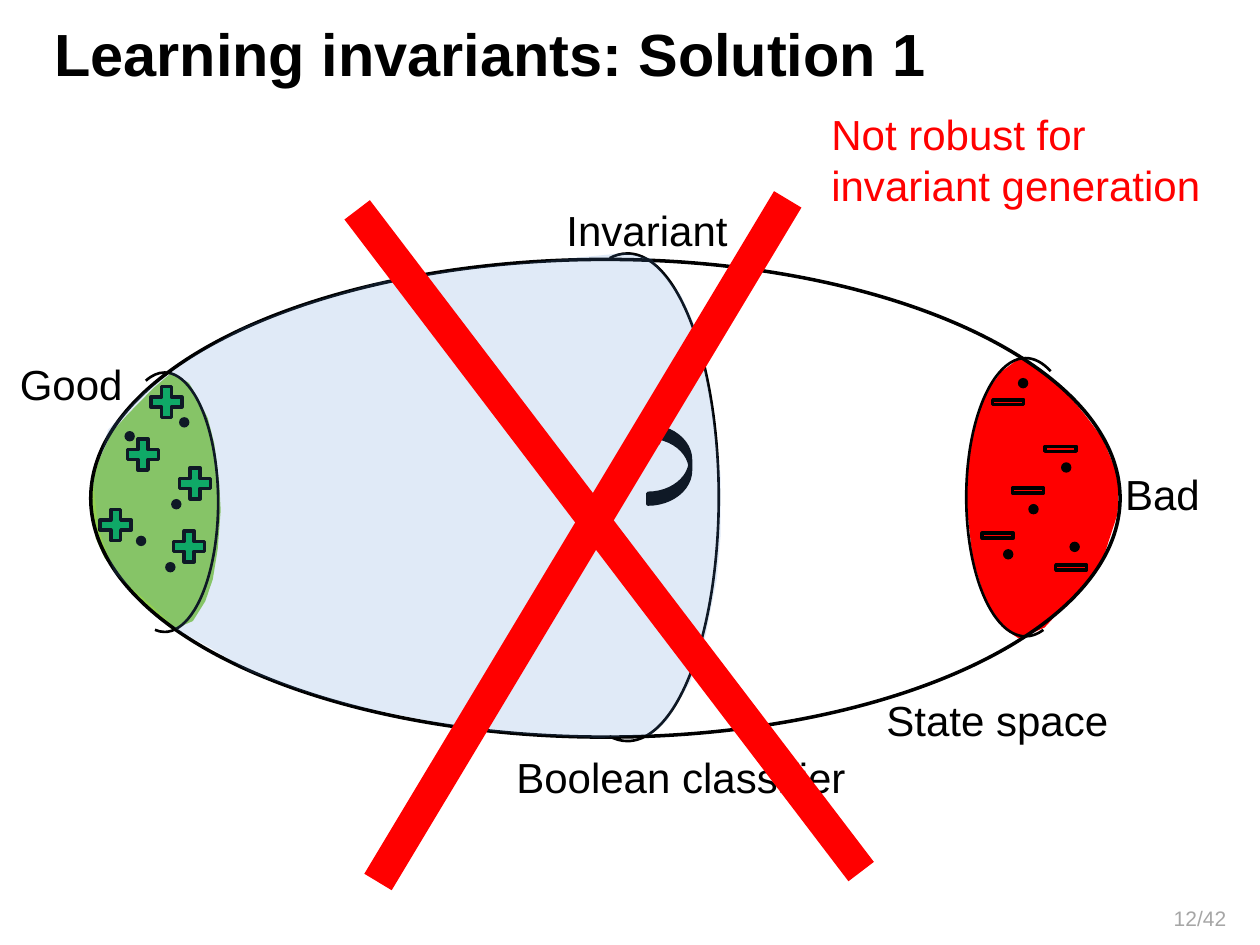
from dataclasses import dataclass

import pptx
import pptx.dml.color
import pptx.enum.shapes
import pptx.enum.text
import pptx.oxml
import pptx.oxml.ns
import pptx.util

Cm = pptx.util.Cm
SHAPE = pptx.enum.shapes.MSO_SHAPE
ALIGN = pptx.enum.text.PP_ALIGN
ANCHOR = pptx.enum.text.MSO_ANCHOR


@dataclass(frozen=True)
class Theme:
    font: str = "Arial"
    ink: str = "000000"
    alert: str = "FF0000"
    good: str = "92D050"
    plus: str = "00B050"
    invariant: str = "558ED5"
    muted: str = "A6A6A6"
    title_size: int = 34
    label_size: int = 24
    page_size: int = 12
    outline: float = 2
    boundary: float = 1.5
    cross: float = 18.25


# Outlines of the regions, in centimetres
BAD_REGION = [
    (20.57, 7.21), (20.19, 7.49), (19.91, 7.87), (19.74, 8.28), (19.58, 8.84),
    (19.48, 9.63), (19.48, 10.13), (19.61, 11.28), (19.89, 12.17), (20.24, 12.67),
    (20.55, 12.88), (21.06, 12.65), (21.41, 12.27), (21.92, 11.76), (22.23, 11.28),
    (22.53, 10.36), (22.55, 9.83), (22.48, 9.45), (22.23, 8.84), (21.87, 8.36),
    (21.49, 7.9), (20.98, 7.47)]
GOOD_REGION = [
    (3.45, 7.52), (3.1, 7.82), (2.57, 8.36), (2.26, 8.71), (2.01, 9.25),
    (1.85, 9.75), (1.85, 10.29), (1.93, 10.85), (2.11, 11.25), (2.34, 11.53),
    (2.67, 11.96), (3.15, 12.4), (3.48, 12.7), (3.89, 12.52), (4.14, 12.12),
    (4.29, 11.68), (4.39, 11.07), (4.45, 10.29), (4.42, 9.73), (4.32, 8.94),
    (4.19, 8.43), (3.99, 8.03), (3.81, 7.72)]
INVARIANT_REGION = [
    (13.13, 5.21), (13.72, 5.94), (14.02, 6.6), (14.22, 7.44), (14.38, 8.36),
    (14.53, 9.6), (14.53, 10.77), (14.45, 11.68), (14.22, 12.83), (13.92, 13.74),
    (13.44, 14.53), (13.13, 14.81), (12.09, 14.88), (10.77, 14.81), (9.55, 14.71),
    (8.23, 14.45), (7.01, 14.2), (5.99, 13.89), (5.03, 13.54), (4.24, 13.06),
    (3.58, 12.7), (3.02, 12.17), (2.31, 11.56), (1.98, 10.64), (1.88, 9.73),
    (2.18, 8.66), (2.9, 7.92), (3.86, 7.21), (4.9, 6.6), (6.17, 6.12),
    (7.62, 5.69), (9.19, 5.44), (11.48, 5.21), (12.6, 5.1)]

# Top left corners of the samples, in centimetres
STATES = [(3.61, 8.41), (2.51, 8.69), (3.33, 11.33), (2.74, 10.8), (3.45, 10.06),
          (21.39, 9.32), (21.56, 10.92), (20.52, 7.62), (20.22, 11.07), (20.73, 10.16)]
PLUSES = [(2.93, 7.68), (1.91, 10.16), (2.46, 8.74), (3.39, 10.59), (3.51, 9.32)]
MINUSES = [(20.96, 8.84), (19.69, 10.59), (19.9, 7.9), (21.17, 11.23), (20.3, 9.68)]


class Sketch:
    def __init__(self, slide, theme):
        self.slide = slide
        self.theme = theme

    def color(self, code):
        return pptx.dml.color.RGBColor.from_string(code)

    def paint(self, shape, fill=None, line=None):
        shape.shadow.inherit = False
        if fill:
            shape.fill.solid()
            shape.fill.fore_color.rgb = self.color(fill)
        else:
            shape.fill.background()
        if line:
            shape.line.color.rgb = self.color(self.theme.ink)
            shape.line.width = pptx.util.Pt(line)
        else:
            shape.line.fill.background()

    def shape(self, kind, left, top, width, height, fill=None, line=None):
        shape = self.slide.shapes.add_shape(kind, Cm(left), Cm(top), Cm(width), Cm(height))
        self.paint(shape, fill, line)
        return shape

    def boundary(self, left, top, width, height, start, end):
        """Arc between two angles in degrees."""
        arc = self.shape(SHAPE.ARC, left, top, width, height, line=self.theme.boundary)
        for i, angle in enumerate((start, end)):
            arc.adjustments[i] = angle * 0.6

    def region(self, outline, fill, opacity=None):
        """Filled outline; opacity is in percent."""
        points = [(Cm(x), Cm(y)) for x, y in outline]
        builder = self.slide.shapes.build_freeform(*points[0])
        builder.add_line_segments(points[1:], close=True)
        region = builder.convert_to_shape()
        self.paint(region, fill)
        if opacity:
            rgb = region.fill._xPr.find(".//" + pptx.oxml.ns.qn("a:srgbClr"))
            alpha = rgb.makeelement(pptx.oxml.ns.qn("a:alpha"), {"val": str(opacity * 1000)})
            rgb.append(alpha)

    def cross_stroke(self, start, end):
        stroke = self.slide.shapes.add_connector(
            pptx.enum.shapes.MSO_CONNECTOR.STRAIGHT, *map(Cm, start + end))
        stroke.line.color.rgb = self.color(self.theme.alert)
        stroke.line.width = pptx.util.Pt(self.theme.cross)
        properties = stroke._element.spPr
        properties.append(properties.makeelement(pptx.oxml.ns.qn("a:effectLst"), {}))

    def text(self, words, left, top, width, height=1.27, size=None, color=None,
             bold=False, wrap=False, align=ALIGN.LEFT, anchor=ANCHOR.TOP):
        box = self.slide.shapes.add_textbox(Cm(left), Cm(top), Cm(width), Cm(height))
        frame = box.text_frame
        frame.word_wrap = wrap
        frame.vertical_anchor = anchor
        frame.text = words
        for paragraph in frame.paragraphs:
            paragraph.alignment = align
            for run in paragraph.runs:
                run.font.name = self.theme.font
                run.font.size = pptx.util.Pt(size or self.theme.label_size)
                run.font.bold = bold
                run.font.color.rgb = self.color(color or self.theme.ink)


def main():
    deck = pptx.Presentation()
    deck.slide_width, deck.slide_height = Cm(25.4), Cm(19.05)
    theme = Theme()
    sketch = Sketch(deck.slides.add_slide(deck.slide_layouts[6]), theme)

    sketch.region(BAD_REGION, theme.alert)
    sketch.region(GOOD_REGION, theme.good)
    sketch.text("Learning invariants: Solution 1", 0.85, 0.22, 20.75, 2.54,
                size=theme.title_size, bold=True, wrap=True)
    sketch.text("Bad", 22.43, 9.32, 2.03)
    sketch.text("Good", 0.15, 7.11, 2.62)

    for left, top in STATES:
        sketch.shape(SHAPE.OVAL, left, top, 0.21, 0.21, theme.ink)
    for left, top in PLUSES:
        sketch.shape(SHAPE.MATH_PLUS, left, top, 0.85, 0.85, theme.plus, theme.outline)
    for left, top in MINUSES:
        sketch.shape(SHAPE.MATH_MINUS, left, top, 0.85, 0.42, theme.alert, theme.outline)

    sketch.text("Boolean classifier", 10.16, 15.02, 7.19, wrap=True)
    sketch.text("Not robust for\ninvariant generation", 16.51, 2.07, 8.08, 2.31,
                color=theme.alert)

    sketch.shape(SHAPE.OVAL, 1.83, 5.23, 20.75, 9.63, line=theme.outline)
    sketch.boundary(2.24, 7.51, 2.16, 5.23, 261.2, 94.31)
    sketch.boundary(19.48, 7.22, 2.39, 5.61, 82.34, 281.32)
    sketch.boundary(10.81, 5.11, 3.68, 9.83, 265.72, 94.31)
    loop_arrow = sketch.shape(SHAPE.CURVED_RIGHT_ARROW, 13.06, 8.48, 0.86, 1.68,
                              theme.ink, theme.outline)
    loop_arrow.rotation = 180
    sketch.text("Invariant", 11.17, 3.99, 4.29, wrap=True)
    sketch.region(INVARIANT_REGION, theme.invariant, opacity=18)

    sketch.cross_stroke((7.2, 4.23), (17.36, 17.57))
    sketch.text("State space", 17.62, 13.87, 5.03)
    sketch.cross_stroke((15.88, 4.02), (7.62, 17.78))
    sketch.text("12/42", 19.05, 17.99, 5.92, 1.02, size=theme.page_size, color=theme.muted,
                wrap=True, align=ALIGN.RIGHT, anchor=ANCHOR.MIDDLE)

    deck.save("out.pptx")


if __name__ == "__main__":
    main()
